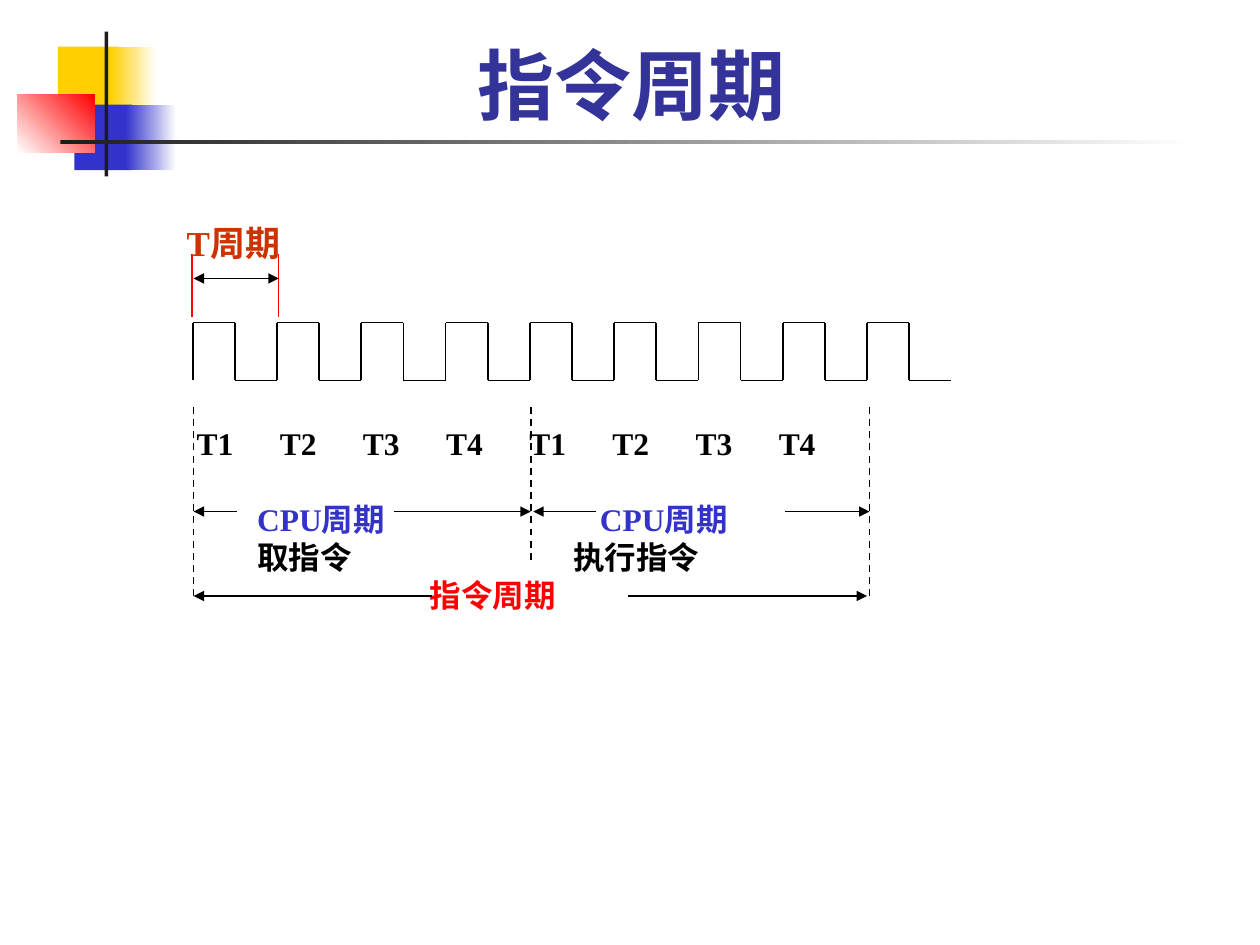
from collections import namedtuple

from lxml import etree
from pptx import Presentation
from pptx.dml.color import RGBColor
from pptx.enum.dml import MSO_LINE
from pptx.enum.shapes import MSO_CONNECTOR, MSO_SHAPE
from pptx.enum.text import MSO_ANCHOR, MSO_AUTO_SIZE, PP_ALIGN
from pptx.oxml.ns import qn
from pptx.util import Inches, Pt

STRAIGHT = MSO_CONNECTOR.STRAIGHT
RECTANGLE = MSO_SHAPE.RECTANGLE
DASH = MSO_LINE.DASH
BOTTOM = MSO_ANCHOR.BOTTOM
NO_RESIZE = MSO_AUTO_SIZE.NONE
CENTER = PP_ALIGN.CENTER

COLORS = {
    "yellow": "FFCF01", "blue": "3333CC", "red": "FF0000", "white": "FFFFFF",
    "ink": "1C1C1C", "title": "333399", "black": "000000", "rust": "CC3300",
}
SERIF = "Times New Roman"
CYCLES = 9


class Grid(namedtuple("Grid", "left top width height columns rows")):
    def x(self, column):
        return Inches(self.left + column * self.width / self.columns)

    def y(self, row):
        return Inches(self.top + row * self.height / self.rows)

    def area(self, column, row, columns, rows):
        left, top = self.x(column), self.y(row)
        return left, top, self.x(column + columns) - left, self.y(row + rows) - top


def color(name):
    return RGBColor.from_string(COLORS[name])


def write(paragraph, text, font=SERIF, size=18, ink="black", tabs=(), align=None, before=None):
    if align is not None:
        paragraph.alignment = align
    if before is not None:
        paragraph.space_before = Pt(before)
    if tabs:
        stops = etree.SubElement(paragraph._p.get_or_add_pPr(), qn("a:tabLst"))
        for position in tabs:
            etree.SubElement(stops, qn("a:tab"), pos=str(Inches(position)), algn="l")
    run = paragraph.add_run()
    run.text = text
    run.font.name = font
    run.font.size = Pt(size)
    run.font.bold = True
    run.font.color.rgb = color(ink)


def add_text_frame(slide, area):
    frame = slide.shapes.add_textbox(*area).text_frame
    frame.word_wrap = True
    return frame


def add_line(shapes, grid, start, end, ink="black", width=1, dash=None, head=False, tail=False):
    line = shapes.add_connector(
        STRAIGHT, grid.x(start[0]), grid.y(start[1]), grid.x(end[0]), grid.y(end[1]))
    line.line.color.rgb = color(ink)
    line.line.width = Pt(width)
    if dash is not None:
        line.line.dash_style = dash
    outline = line.line._get_or_add_ln()
    for tag, wanted in (("a:headEnd", head), ("a:tailEnd", tail)):
        if wanted:
            etree.SubElement(outline, qn(tag), type="triangle")
    etree.SubElement(line._element.spPr, qn("a:effectLst"))


def add_decoration(slide, grid):
    blocks = [
        ((4.6, 3.7, 4.8, 5.2), ("yellow",), 0),
        ((8.8, 3.7, 3.6, 5.2), ("yellow", "white"), 0),
        ((5.9, 8.3, 4.6, 5.2), ("blue",), 0),
        ((10, 8.3, 4, 5.2), ("blue", "white"), 0),
        ((1.4, 7.5, 6.1, 4.6), ("white", "red"), 45),
        ((8.3, 2.5, 0.3, 11.5), ("ink",), 0),
        ((4.8, 11.1, 90, 0.35), ("ink", "white"), 0),
    ]
    for area, names, angle in blocks:
        block = slide.shapes.add_shape(RECTANGLE, *grid.area(*area))
        block.shadow.inherit = False
        block.line.fill.background()
        if len(names) == 1:
            block.fill.solid()
            block.fill.fore_color.rgb = color(names[0])
        else:
            block.fill.gradient()
            block.fill.gradient_angle = angle
            for stop, name in zip(block.fill.gradient_stops, names):
                stop.color.rgb = color(name)


def add_title(slide, grid):
    title = slide.shapes.title
    title.left, title.top, title.width, title.height = grid.area(2.5, 0, 95.3, 10.8)
    frame = title.text_frame
    frame.auto_size = NO_RESIZE
    frame.vertical_anchor = BOTTOM
    write(frame.paragraphs[0], "指令周期", font="Roboto", size=44, ink="title", align=CENTER)


def add_labels(slide, grid):
    frame = add_text_frame(slide, grid.area(-0.22, 15.2, 11.7, 17))
    states = [f"T{number}" for number in range(1, 5)] * 2
    first = frame.paragraphs[0]
    write(first, "\t", size=24, tabs=[0.08 + 0.66 * index for index in range(len(states))])
    write(first, "\t".join(states))
    rows = [
        ("\tCPU周期\tCPU周期", "blue", (0.56, 3.28), 21),
        ("\t取指令\t执行指令", "black", (0.56, 3.07), 0),
        ("\t指令周期", "red", (1.93,), 0),
    ]
    for text, ink, tabs, before in rows:
        write(frame.add_paragraph(), text, ink=ink, tabs=tabs, before=before)


def add_spans(slide, grid):
    for column, bottom in ((0.01, 30.2), (4.01, 27.7), (8.03, 30.2)):
        add_line(slide.shapes, grid, (column, 15.2), (column, bottom), dash=DASH)
    arrows = [
        (30.2, 2.84, 0.01), (30.2, 5.17, 8),
        (23.5, 0.52, 0.01), (23.5, 2.39, 4.01),
        (23.5, 4.78, 4.04), (23.5, 7.03, 8.03),
    ]
    for row, start, end in arrows:
        add_line(slide.shapes, grid, (start, row), (end, row), tail=True)


def add_clock(slide, grid):
    shapes = slide.shapes.add_group_shape().shapes
    high, low = 8.5, 13.1
    for cycle in range(CYCLES):
        points = [(cycle, low), (cycle, high), (cycle + 0.5, high),
                  (cycle + 0.5, low), (cycle + 1, low)]
        for start, end in zip(points, points[1:]):
            add_line(shapes, grid, start, end)


def add_cycle_mark(slide, grid):
    for column in (-0.01, 1.02):
        add_line(slide.shapes, grid, (column, 3.1), (column, 8.1), ink="red", width=0.75)
    add_line(slide.shapes, grid, (0.01, 5), (1.02, 5), width=0.75, head=True, tail=True)
    frame = add_text_frame(slide, grid.area(-0.22, 0, 3, 4.4))
    write(frame.paragraphs[0], "T周期", size=20, ink="rust")


def main():
    presentation = Presentation()
    presentation.slide_width = Inches(10)
    presentation.slide_height = Inches(7.5)
    slide = presentation.slides.add_slide(presentation.slide_layouts[5])
    header = Grid(0, 0, 10, 1.5, 100, 15)
    diagram = Grid(1.53, 1.71, 6.02, 3, CYCLES, 30)
    add_decoration(slide, header)
    add_title(slide, header)
    for add_part in (add_labels, add_spans, add_clock, add_cycle_mark):
        add_part(slide, diagram)
    presentation.save("out.pptx")


if __name__ == "__main__":
    main()
